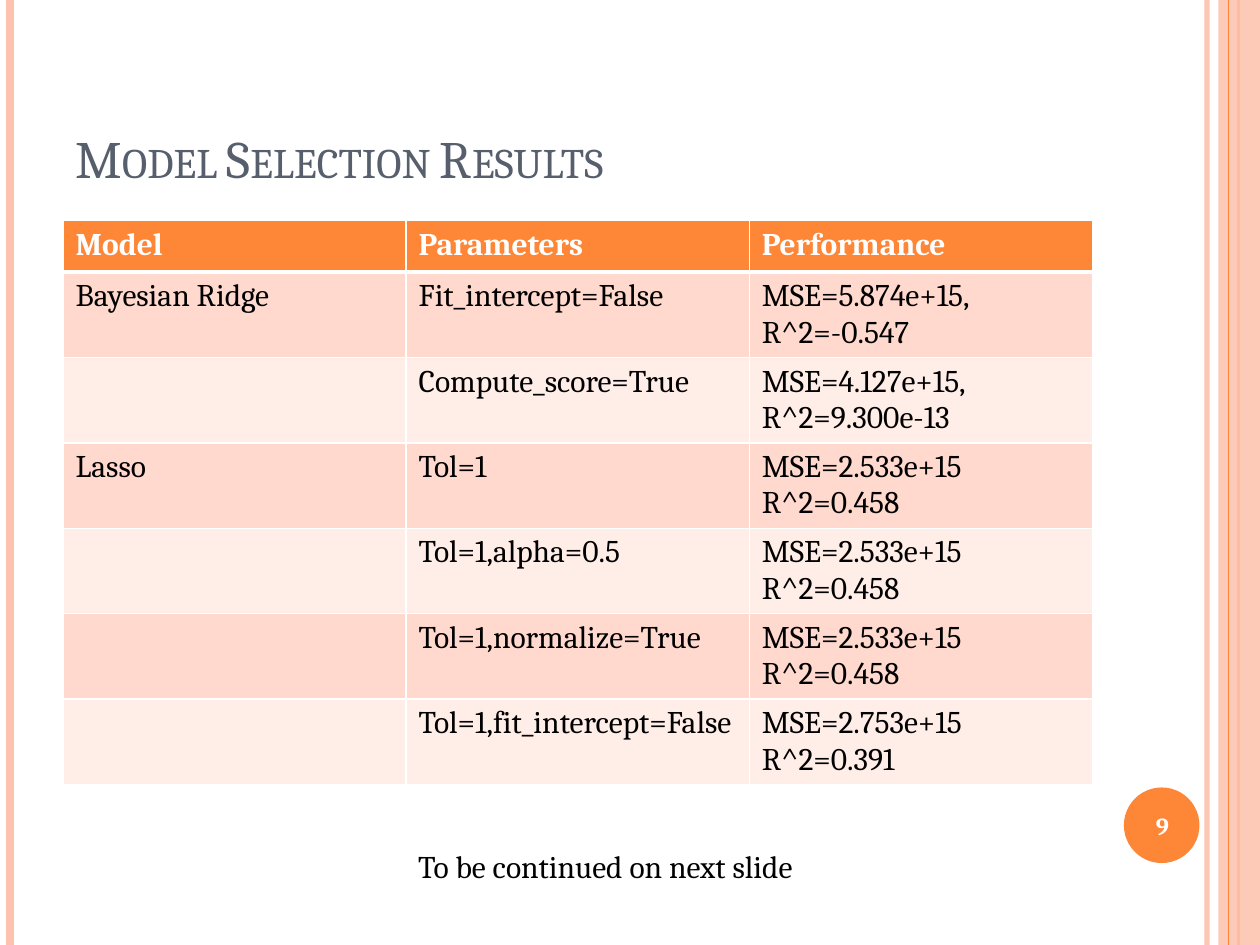
from dataclasses import dataclass

from lxml import etree
from pptx import Presentation
from pptx.dml.color import RGBColor
from pptx.enum.shapes import MSO_CONNECTOR, MSO_SHAPE
from pptx.enum.text import MSO_ANCHOR, MSO_AUTO_SIZE, PP_ALIGN
from pptx.oxml.ns import qn
from pptx.util import Inches, Pt

TITLE = "Model Selection Results"
FOOTNOTE = "To be continued on next slide"
PAGE = "9"
RESULTS = [
    ("Model", "Parameters", "Performance"),
    ("Bayesian Ridge", "Fit_intercept=False", "MSE=5.874e+15, R^2=-0.547"),
    ("", "Compute_score=True", "MSE=4.127e+15, R^2=9.300e-13"),
    ("Lasso", "Tol=1", "MSE=2.533e+15\nR^2=0.458"),
    ("", "Tol=1,alpha=0.5", "MSE=2.533e+15\nR^2=0.458"),
    ("", "Tol=1,normalize=True", "MSE=2.533e+15\nR^2=0.458"),
    ("", "Tol=1,fit_intercept=False", "MSE=2.753e+15\nR^2=0.391"),
]


@dataclass(frozen=True)
class Theme:
    """Colours, font and type sizes of the slide."""
    font: str = "Cambria"
    accent: str = "FE8637"
    pale: str = "FEC3AE"
    heading: str = "575F6D"
    text: str = "000000"
    white: str = "FFFFFF"
    bands: tuple = ("FFD9CE", "FFEDE8")
    title_size: int = 30
    body_size: int = 18
    page_size: int = 14


THEME = Theme()
# x position, colour, width in points, opacity in percent
RULES = [
    (9.58, THEME.pale, 3, 93),
    (0.08, THEME.pale, 4.5, 100),
    (9.83, THEME.accent, 1.5, 100),
]
INNER_RULE = (9.75, THEME.accent, 0.75, 100)


def set_opacity(element, percent):
    """Make the first solid colour below the element translucent."""
    if percent < 100:
        color = next(element.iter(qn("a:srgbClr")))
        etree.SubElement(color, qn("a:alpha"), val=str(percent * 1000))


def add_rule(slide, x, color, width, opacity):
    """Draw a vertical line over the full slide height."""
    rule = slide.shapes.add_connector(
        MSO_CONNECTOR.STRAIGHT, Inches(x), 0, Inches(x), Inches(7.5))
    rule.line.color.rgb = RGBColor.from_string(color)
    rule.line.width = Pt(width)
    properties = rule._element.spPr
    set_opacity(properties, opacity)
    etree.SubElement(properties, qn("a:effectLst"))


def add_block(slide, kind, box, color, opacity=100):
    """Draw a flat shape without outline."""
    block = slide.shapes.add_shape(kind, *map(Inches, box))
    block.shadow.inherit = False
    block.fill.solid()
    block.fill.fore_color.rgb = RGBColor.from_string(color)
    block.line.fill.background()
    set_opacity(block._element.spPr, opacity)


def write(frame, text, size, color, bold=False, align=PP_ALIGN.LEFT):
    """Fill a text frame, one paragraph per line, and format it."""
    frame.text = text
    for paragraph in frame.paragraphs:
        paragraph.alignment = align
        for font in [paragraph.font] + [run.font for run in paragraph.runs]:
            font.name, font.size, font.bold = THEME.font, Pt(size), bold
            font.color.rgb = RGBColor.from_string(color)


def add_label(slide, box, text, size, color, bold=False):
    """Add a centred text box and return its frame."""
    frame = slide.shapes.add_textbox(*map(Inches, box)).text_frame
    write(frame, text, size, color, bold, PP_ALIGN.CENTER)
    return frame


def set_borders(cell, **widths):
    """Give a cell white borders of the given widths in points."""
    properties = cell._tc.get_or_add_tcPr()
    for index, (side, width) in enumerate(widths.items()):
        line = etree.Element(qn(f"a:ln{side}"), w=str(Pt(width)))
        fill = etree.SubElement(line, qn("a:solidFill"))
        etree.SubElement(fill, qn("a:srgbClr"), val=THEME.white)
        properties.insert(index, line)


def add_results(slide):
    """Build the table with a header row and alternating bands."""
    table = slide.shapes.add_table(
        len(RESULTS), len(RESULTS[0]), Inches(0.5), Inches(1.75),
        Inches(8.17), Inches(0.41 * len(RESULTS))).table
    for r, row in enumerate(RESULTS):
        header = r == 0
        fill = THEME.accent if header else THEME.bands[(r - 1) % 2]
        for c, text in enumerate(row):
            cell = table.cell(r, c)
            write(cell.text_frame, text, THEME.body_size,
                  THEME.white if header else THEME.text, header)
            cell.fill.solid()
            cell.fill.fore_color.rgb = RGBColor.from_string(fill)
            set_borders(cell, L=1, R=1, T=3 if r == 1 else 1,
                        B=3 if header else 1)


def add_title(slide):
    """Place the title placeholder and set it in small capitals."""
    title = slide.shapes.title
    title.left, title.top, title.width, title.height = map(
        Inches, (0.5, 0.3, 8.17, 1.25))
    frame = title.text_frame
    write(frame, TITLE, THEME.title_size, THEME.heading)
    frame.vertical_anchor = MSO_ANCHOR.BOTTOM
    frame.paragraphs[0].runs[0]._r.get_or_add_rPr().set("cap", "small")


def main():
    """Build and save the slide."""
    deck = Presentation()
    deck.slide_width, deck.slide_height = Inches(10), Inches(7.5)
    slide = deck.slides.add_slide(deck.slide_layouts[5])
    for rule in RULES:
        add_rule(slide, *rule)
    add_block(slide, MSO_SHAPE.RECTANGLE, (9.67, 0, 0.33, 7.5), THEME.pale, 87)
    add_rule(slide, *INNER_RULE)
    add_block(slide, MSO_SHAPE.OVAL, (8.92, 6.25, 0.6, 0.6), THEME.accent)
    add_title(slide)
    add_results(slide)
    page = add_label(slide, (8.89, 6.27, 0.67, 0.57), PAGE,
                     THEME.page_size, THEME.white, True)
    page.word_wrap = True
    page.vertical_anchor = MSO_ANCHOR.MIDDLE
    note = add_label(slide, (3, 6.67, 3.61, 0.4), FOOTNOTE,
                     THEME.body_size, THEME.text)
    note.word_wrap = False
    note.auto_size = MSO_AUTO_SIZE.SHAPE_TO_FIT_TEXT
    deck.save("out.pptx")


main()
